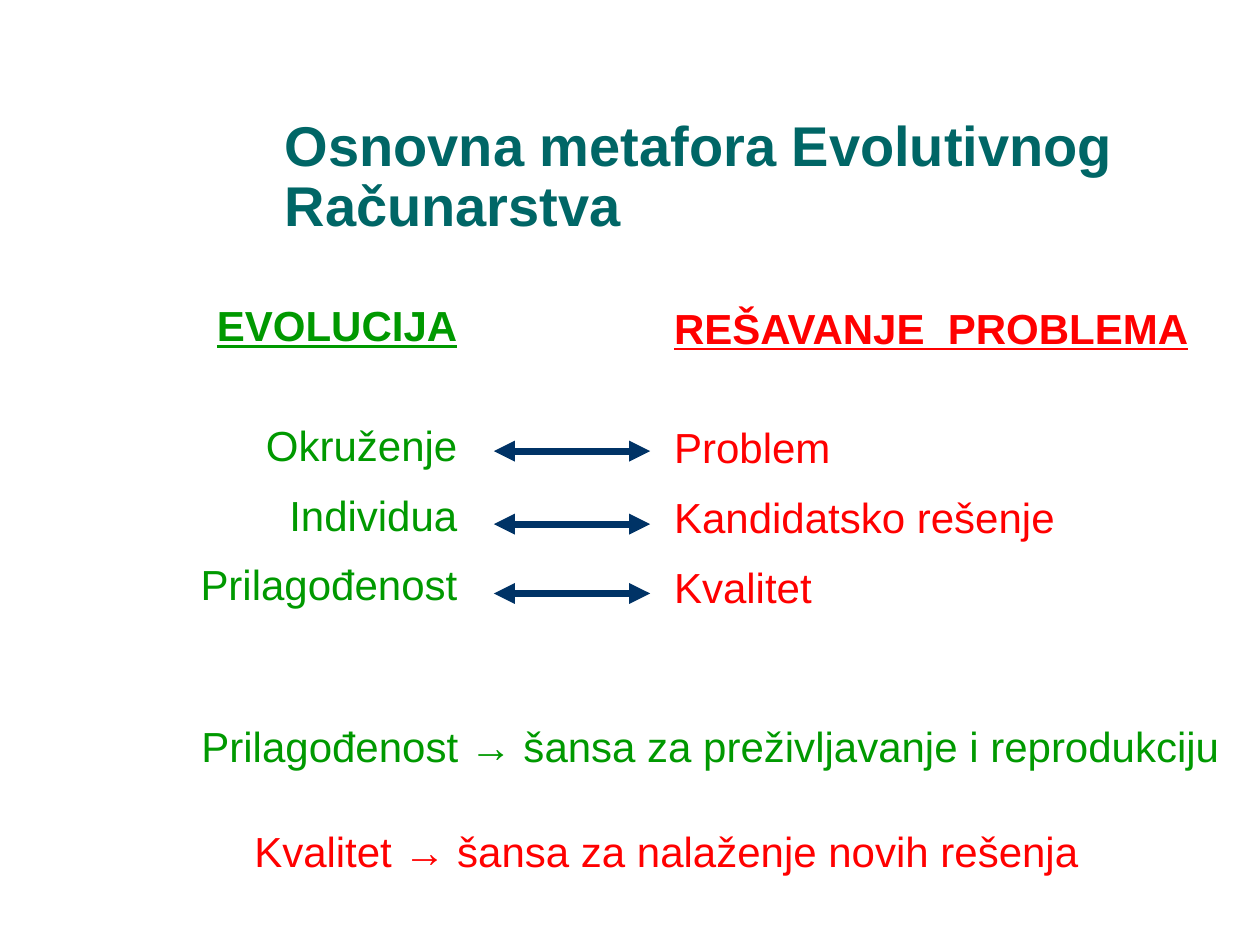
"""Build a slide that pairs the terms of evolution with those of problem solving."""
from lxml.etree import SubElement
from pptx import Presentation
from pptx.dml.color import RGBColor
from pptx.enum.shapes import MSO_CONNECTOR
from pptx.enum.text import MSO_ANCHOR, MSO_AUTO_SIZE, PP_ALIGN
from pptx.oxml.ns import qn
from pptx.util import Inches, Pt

COLORS = {"title": "006666", "evolution": "009900", "problem": "FF0000", "arrow": "003366"}


def place(shape, left, top, width, height):
    shape.left, shape.top = Inches(left), Inches(top)
    shape.width, shape.height = Inches(width), Inches(height)
    shape.text_frame.auto_size = MSO_AUTO_SIZE.NONE


def format_font(paragraph, color, size=24, bold=False, underline=False):
    font = paragraph.font
    font.name, font.size = "Arial", Pt(size)
    font.bold, font.underline = bold, underline
    font.color.rgb = RGBColor.from_string(COLORS[color])


presentation = Presentation()
presentation.slide_width, presentation.slide_height = Inches(10), Inches(7.5)
slide = presentation.slides.add_slide(presentation.slide_layouts[3])

title = slide.shapes.title
place(title, 2.16, 1, 7.34, 0.83)
title.text_frame.text = "Osnovna metafora Evolutivnog Računarstva"
title.text_frame.vertical_anchor = MSO_ANCHOR.MIDDLE
title_paragraph = title.text_frame.paragraphs[0]
title_paragraph.alignment = PP_ALIGN.LEFT
title_paragraph.line_spacing = 0.9
format_font(title_paragraph, "title", size=32, bold=True)

columns = [
    ((1.08, 2.33, 2.65, 3.21), "evolution", PP_ALIGN.RIGHT,
     ["EVOLUCIJA", "Okruženje", "Individua", "Prilagođenost"]),
    ((5.25, 2.35, 4.5, 3.19), "problem", PP_ALIGN.LEFT,
     ["REŠAVANJE  PROBLEMA", "Problem", "Kandidatsko rešenje", "Kvalitet"]),
]
for index, (box, color, alignment, terms) in enumerate(columns, start=1):
    body = slide.placeholders[index]
    place(body, *box)
    body.text_frame.text = "\n".join(terms)
    for row, paragraph in enumerate(body.text_frame.paragraphs):
        heading = row == 0
        paragraph.alignment = alignment
        paragraph.space_before = Pt(3 if heading else 5.5)
        paragraph.space_after = Pt(34 if heading else 5.5)
        format_font(paragraph, color, bold=heading, underline=heading)
        properties = paragraph._p.get_or_add_pPr()
        properties.set("marL", str(Inches(0.38)))
        properties.set("indent", str(-Inches(0.38)))
        properties.insert_element_before(
            properties.makeelement(qn("a:buNone")), "a:tabLst", "a:defRPr", "a:extLst")

arrows = slide.shapes.add_group_shape()
for y in (3.58, 4.16, 4.71):
    arrow = arrows.shapes.add_connector(
        MSO_CONNECTOR.STRAIGHT, Inches(3.92), Inches(y), Inches(5.16), Inches(y))
    arrow.line.width = Pt(4)
    arrow.line.color.rgb = RGBColor.from_string(COLORS["arrow"])
    line = arrow.line._get_or_add_ln()
    for end in ("a:headEnd", "a:tailEnd"):
        SubElement(line, qn(end), type="triangle")
    SubElement(arrow._element.spPr, qn("a:effectLst"))

conclusions = [
    ((1.92, 6.5, 6.74, 0.5), "problem", "Kvalitet → šansa za nalaženje novih rešenja"),
    ((1.5, 5.67, 8.28, 0.5), "evolution", "Prilagođenost → šansa za preživljavanje i reprodukciju"),
]
for box, color, sentence in conclusions:
    conclusion = slide.shapes.add_textbox(0, 0, 0, 0)
    place(conclusion, *box)
    conclusion.text_frame.word_wrap = False
    conclusion.text_frame.text = sentence
    format_font(conclusion.text_frame.paragraphs[0], color)

presentation.save("out.pptx")
